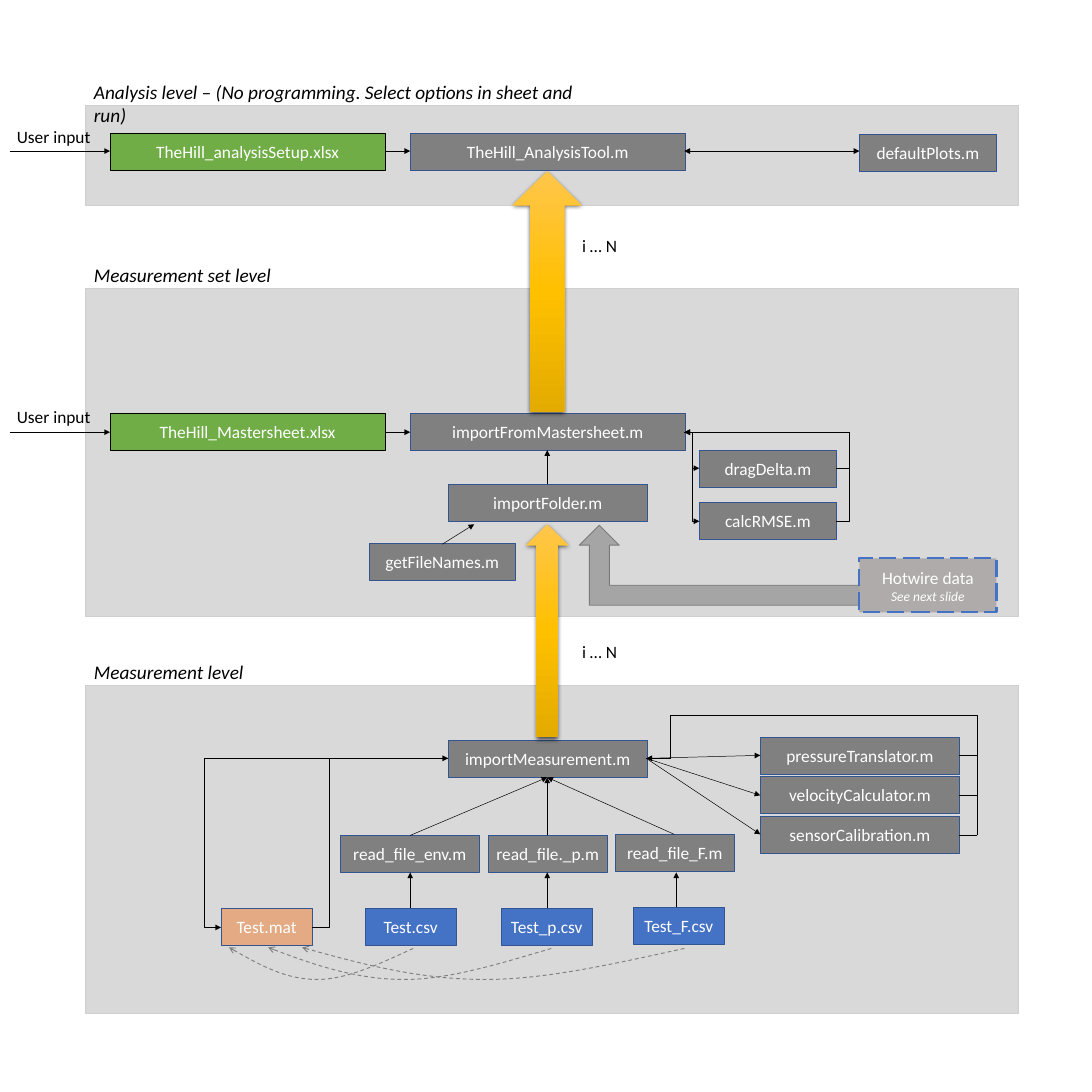
from lxml import etree
from pptx import Presentation
from pptx.dml.color import RGBColor
from pptx.enum.dml import MSO_LINE
from pptx.enum.shapes import MSO_CONNECTOR, MSO_SHAPE
from pptx.enum.text import MSO_ANCHOR, MSO_AUTO_SIZE, PP_ALIGN
from pptx.oxml import parse_xml
from pptx.oxml.ns import qn
from pptx.util import Inches, Pt

RECT, UP, BENT_UP = MSO_SHAPE.RECTANGLE, MSO_SHAPE.UP_ARROW, MSO_SHAPE.BENT_UP_ARROW
STRAIGHT, ELBOW = MSO_CONNECTOR.STRAIGHT, MSO_CONNECTOR.ELBOW
DASH, LONG_DASH = MSO_LINE.DASH, MSO_LINE.LONG_DASH
PX = 914400 / 69.3
FONT = "Calibri"
BLACK, WHITE, GRAY, GREEN, BLUE, NAVY = "000000", "FFFFFF", "808080", "70AD47", "4472C4", "325491"
BOX_H = 37

PANELS = [(685, 328), (288, 328), (105, 100)]
BOXES = [
    (GREEN, BLACK, [("TheHill_analysisSetup.xlsx", 110, 133, 275),
                    ("TheHill_Mastersheet.xlsx", 110, 413, 275)]),
    (GRAY, NAVY, [("TheHill_AnalysisTool.m", 410, 133, 275),
                  ("defaultPlots.m", 859, 134, 137),
                  ("importFromMastersheet.m", 410, 413, 275),
                  ("dragDelta.m", 699, 450, 137),
                  ("calcRMSE.m", 699, 502, 137),
                  ("importFolder.m", 448, 484, 199),
                  ("getFileNames.m", 369, 543, 146),
                  ("importMeasurement.m", 448, 740, 199),
                  ("pressureTranslator.m", 760, 737, 199),
                  ("velocityCalculator.m", 760, 776, 199),
                  ("sensorCalibration.m", 760, 816, 199),
                  ("read_file_env.m", 340, 835, 139),
                  ("read_file._p.m", 488, 835, 119),
                  ("read_file_F.m", 615, 834, 119)]),
    (BLUE, NAVY, [("Test.csv", 365, 908, 91), ("Test_p.csv", 501, 908, 91),
                  ("Test_F.csv", 633, 907, 91)]),
    ("ED7D31", NAVY, [("Test.mat", 221, 908, 91)]),
]
LABELS = [
    ("Analysis level – (No programming. Select options in sheet and run)", 87, 77, 529, 20, True),
    ("Measurement set level", 87, 260, 192, 20, True),
    ("Measurement level", 87, 657, 164, 20, True),
    ("User input", 10, 123, 88, 18, False),
    ("User input", 10, 403, 88, 18, False),
    ("i … N", 575, 232, 49, 18, False),
    ("i … N", 575, 637, 49, 18, False),
]
ARROWS = [
    (10, 151, 110, 151), (385, 151, 410, 151),
    (10, 432, 110, 432), (385, 432, 410, 432),
    (547, 484, 547, 450), (442, 544, 474, 524),
    (410, 908, 410, 872), (547, 908, 547, 872), (676, 907, 676, 872),
    (410, 835, 547, 777), (547, 835, 547, 777), (674, 834, 547, 777),
    (646, 758, 760, 755), (646, 758, 760, 795), (646, 758, 760, 834),
]
BRACKET = [(959, 795, 977, 795), (959, 835, 977, 835), (977, 835, 977, 754)]
ELBOWS = [
    ((684, 432, 699, 468), (692,), "tail", 0.5),
    ((684, 432, 699, 521), (692,), "tail", 0.5),
    ((684, 432, 836, 468), (849,), "head", 0.5),
    ((684, 432, 836, 521), (849,), "head", 0.5),
    ((448, 758, 312, 927), (329,), "head", 0.5),
    ((448, 758, 221, 927), (204,), "tail", 0.5),
    ((646, 758, 959, 755), (670, 715, 977), "head", 1),
]
LOOPS = [(413, 229), (551, 268), (684, 302)]
LOOP_STEPS = [(0, 948), (0.18, 963), (0.36, 979), (0.52, 979), (0.69, 979), (0.85, 963), (1, 947)]
LEVEL_ARROWS = [(513, 171, 68, 241), (526, 524, 42, 213)]
GRADIENT = [(0, "FFC64B"), (50, "FFC000"), (100, "E3AB00")]
A_NS = 'xmlns:a="http://schemas.openxmlformats.org/drawingml/2006/main"'


def px(*values):
    return [round(v * PX) for v in values]


def rgb(value):
    return RGBColor.from_string(value)


def set_line(line, color, width, dash=None):
    line.color.rgb = rgb(color)
    line.width = Pt(width)
    if dash:
        line.dash_style = dash


def add_heads(item, ends, kind="triangle"):
    ln = item._element.spPr.find(qn("a:ln"))
    for end in ends.split():
        etree.SubElement(ln, qn(f"a:{end}End"), type=kind)


def add_run(p, text, size, color, italic=False):
    r = p.add_run()
    r.text = text
    r.font.name, r.font.size, r.font.italic = FONT, Pt(size), italic
    r.font.color.rgb = rgb(color)


def add_block(kind, x, y, w, h, fill, line, width=1, dash=None):
    sp = s.shapes.add_shape(kind, *px(x, y, w, h))
    sp.shadow.inherit = False
    sp.fill.solid()
    sp.fill.fore_color.rgb = rgb(fill)
    set_line(sp.line, line, width, dash)
    return sp


def write_centered(sp, lines):
    tf = sp.text_frame
    tf.word_wrap = True
    tf.vertical_anchor = MSO_ANCHOR.MIDDLE
    for i, (text, size, italic) in enumerate(lines):
        p = tf.add_paragraph() if i else tf.paragraphs[0]
        p.alignment = PP_ALIGN.CENTER
        add_run(p, text, size, WHITE, italic)


def add_line(ends, heads="", width=0.5, kind=STRAIGHT):
    c = s.shapes.add_connector(kind, *px(*ends))
    set_line(c.line, BLACK, width)
    add_heads(c, heads)
    etree.SubElement(c._element.spPr, qn("a:effectLst"))
    return c


def add_elbow(ends, bends, heads, width):
    c = add_line(ends, heads, width, ELBOW)
    x1, y1, x2, y2 = ends
    geom = c._element.spPr.find(qn("a:prstGeom"))
    geom.set("prst", f"bentConnector{len(bends) + 2}")
    guides = geom.get_or_add_avLst()
    for i, bend in enumerate(bends):
        start, stop = (y1, y2) if i % 2 else (x1, x2)
        ratio = round((bend - start) / (stop - start) * 100000)
        etree.SubElement(guides, qn("a:gd"), name=f"adj{i + 1}", fmla=f"val {ratio}")


def add_loop(start, stop):
    points = [(round(start + t * (stop - start)), y) for t, y in LOOP_STEPS]
    builder = s.shapes.build_freeform(*points[0], scale=PX)
    builder.add_line_segments(points[1:], close=False)
    sp = builder.convert_to_shape()
    sp.shadow.inherit = False
    sp.fill.background()
    set_line(sp.line, GRAY, 1, DASH)
    add_heads(sp, "tail", "arrow")
    segments = list(sp._element.iter(qn("a:lnTo")))
    path = segments[0].getparent()
    for i in range(0, len(segments), 3):
        curve = etree.SubElement(path, qn("a:cubicBezTo"))
        for segment in segments[i:i + 3]:
            curve.append(segment[0])
            path.remove(segment)


def add_level_arrow(x, y, w, h):
    sp = s.shapes.add_shape(UP, *px(x, y, w, h))
    sp.line.fill.background()
    stops = "".join(f'<a:gs pos="{pos * 1000}"><a:srgbClr val="{color}"/></a:gs>' for pos, color in GRADIENT)
    sp._element.spPr.find(qn("a:prstGeom")).addnext(parse_xml(
        f'<a:gradFill {A_NS}><a:gsLst>{stops}</a:gsLst><a:lin ang="5400000" scaled="0"/></a:gradFill>'))
    sp._element.spPr.append(parse_xml(
        f'<a:effectLst {A_NS}><a:outerShdw blurRad="{Pt(4.5)}" dist="{Pt(1.5)}" dir="5400000" '
        f'algn="ctr" rotWithShape="0"><a:srgbClr val="{BLACK}"><a:alpha val="63000"/></a:srgbClr>'
        '</a:outerShdw></a:effectLst>'))


prs = Presentation()
prs.slide_width = prs.slide_height = Inches(15.75)
s = prs.slides.add_slide(prs.slide_layouts[6])

for y, h in PANELS:
    add_block(RECT, 85, y, 933, h, "D9D9D9", "D0CECE")

hotwire_arrow = add_block(BENT_UP, 579, 525, 281, 80, "A5A5A5", "7A7A7A")
hotwire_arrow._element.spPr.xfrm.set("flipH", "1")
hotwire = add_block(RECT, 859, 558, 137, 54, "AFABAB", BLUE, 2.25, LONG_DASH)
write_centered(hotwire, [("Hotwire data", 18, False), ("See next slide", 14, True)])

for fill, line, items in BOXES:
    for text, x, y, w in items:
        box = add_block(RECT, x, y, w, BOX_H, fill, line)
        write_centered(box, [(text, 18, False)])
        if text == "Test.mat":
            color = box._element.spPr.find(qn("a:solidFill"))[0]
            etree.SubElement(color, qn("a:alpha"), val="50000")

for ends in ARROWS:
    add_line(ends, "tail")
add_line((684, 151, 859, 151), "head tail")
for ends in BRACKET:
    add_line(ends, width=1)
for elbow in ELBOWS:
    add_elbow(*elbow)
for loop in LOOPS:
    add_loop(*loop)
for arrow in LEVEL_ARROWS:
    add_level_arrow(*arrow)

for text, x, y, w, size, italic in LABELS:
    tf = s.shapes.add_textbox(*px(x, y, w, 30 if size == 20 else 28)).text_frame
    tf.word_wrap = False
    tf.auto_size = MSO_AUTO_SIZE.SHAPE_TO_FIT_TEXT
    add_run(tf.paragraphs[0], text, size, BLACK, italic)

prs.save("out.pptx")
